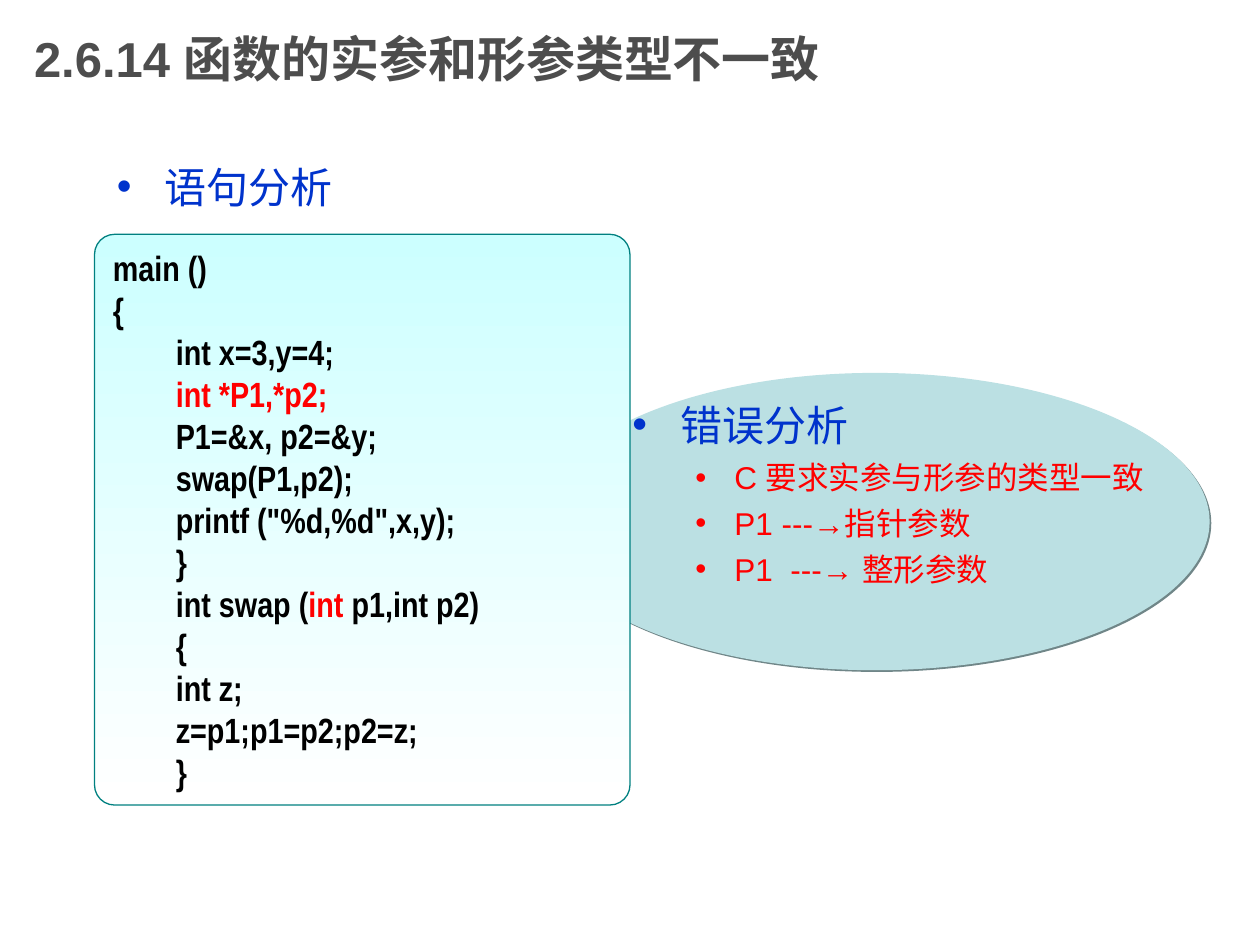
from dataclasses import dataclass

from lxml import etree
from pptx import Presentation
from pptx.dml.color import RGBColor
from pptx.enum.shapes import MSO_SHAPE
from pptx.enum.text import MSO_ANCHOR, MSO_AUTO_SIZE, PP_ALIGN
from pptx.oxml.ns import qn
from pptx.util import Inches, Pt

OVAL = MSO_SHAPE.OVAL
ROUNDED = MSO_SHAPE.ROUNDED_RECTANGLE
TOP, MIDDLE = MSO_ANCHOR.TOP, MSO_ANCHOR.MIDDLE
LEFT = PP_ALIGN.LEFT
NO_FIT = MSO_AUTO_SIZE.NONE

GREY = RGBColor(0x4D, 0x4D, 0x4D)
BLUE = RGBColor(0x00, 0x33, 0xCC)
RED = RGBColor(0xFF, 0x00, 0x00)
BLACK = RGBColor(0x00, 0x00, 0x00)
WHITE = RGBColor(0xFF, 0xFF, 0xFF)
PALE_CYAN = RGBColor(0xCC, 0xFF, 0xFF)
TEAL = RGBColor(0x00, 0x80, 0x80)
PALE_TEAL = RGBColor(0xBB, 0xE0, 0xE3)
SHADOW = RGBColor(0x70, 0x86, 0x88)


@dataclass(frozen=True)
class Area:
    left: float
    top: float
    width: float
    height: float

    def lengths(self) -> list:
        return [Inches(value) for value in (self.left, self.top, self.width, self.height)]


@dataclass(frozen=True)
class Span:
    text: str
    color: RGBColor = BLACK


@dataclass(frozen=True)
class Item:
    text: str
    before: float = 0
    level: int = 0


@dataclass(frozen=True)
class BulletStyle:
    margin: float
    hanging: float
    size: float
    color: RGBColor


BULLET_STYLES = (BulletStyle(0.38, 0.38, 24, BLUE), BulletStyle(0.81, 0.31, 18, RED))

ERROR_ITEMS = (
    Item("错误分析"),
    Item("C 要求实参与形参的类型一致", 5, 1),
    Item("P1 ---→指针参数", 4.5, 1),
    Item("P1  ---→ 整形参数", 4.5, 1),
)

CODE_LINES = (
    (Span("main ()"),),
    (Span("{"),),
    (Span("int x=3,y=4;"),),
    (Span("int *P1,*p2;", RED),),
    (Span("P1=&x, p2=&y;"),),
    (Span("swap(P1,p2);"),),
    (Span('printf ("%d,%d",x,y);'),),
    (Span("}"),),
    (Span("int swap ("), Span("int", RED), Span(" p1,int p2)")),
    (Span("{"),),
    (Span("int z;"),),
    (Span("z=p1;p1=p2;p2=z;"),),
    (Span("}"),),
)
FLUSH_LINES = 2


def write(para, text: str, *, size: float, color: RGBColor,
          font: str = "Arial", bold: bool = False) -> None:
    span = para.add_run()
    span.text = text
    span.font.name = font
    span.font.size = Pt(size)
    span.font.bold = bold
    span.font.color.rgb = color


def set_frame(box, anchor=TOP):
    frame = box.text_frame
    frame.word_wrap = True
    frame.auto_size = NO_FIT
    frame.vertical_anchor = anchor
    return frame


def next_paragraph(frame, index: int):
    para = frame.add_paragraph() if index else frame.paragraphs[0]
    para.alignment = LEFT
    return para


def indent(para, margin: float, first: float = 0) -> None:
    properties = para._p.get_or_add_pPr()
    properties.set("marL", str(Inches(margin)))
    properties.set("indent", str(Inches(first)))


def add_bullet(para, style: BulletStyle) -> None:
    properties = para._p.get_or_add_pPr()
    color = etree.SubElement(properties, qn("a:buClr"))
    etree.SubElement(color, qn("a:srgbClr"), val=str(style.color))
    etree.SubElement(properties, qn("a:buFont"), typeface="Arial")
    etree.SubElement(properties, qn("a:buChar"), char="•")


def add_list(page, area: Area, items: tuple[Item, ...]) -> None:
    frame = set_frame(page.shapes.add_textbox(*area.lengths()))
    for index, item in enumerate(items):
        style = BULLET_STYLES[item.level]
        para = next_paragraph(frame, index)
        para.level = item.level
        if item.before:
            para.space_before = Pt(item.before)
        indent(para, style.margin, -style.hanging)
        add_bullet(para, style)
        write(para, item.text, size=style.size, color=style.color)


def add_ellipse(page, area: Area) -> None:
    ellipse = page.shapes.add_shape(OVAL, *area.lengths())
    ellipse.fill.solid()
    ellipse.fill.fore_color.rgb = PALE_TEAL
    ellipse.line.fill.background()
    ellipse.shadow.inherit = False
    effects = ellipse._element.spPr.find(qn("a:effectLst"))
    shadow = etree.SubElement(effects, qn("a:outerShdw"), dist=str(Pt(1.4)),
                              dir=str(45 * 60000), algn="ctr", rotWithShape="0")
    etree.SubElement(shadow, qn("a:srgbClr"), val=str(SHADOW))


def add_code_panel(page, area: Area, lines: tuple[tuple[Span, ...], ...]) -> None:
    panel = page.shapes.add_shape(ROUNDED, *area.lengths())
    panel.adjustments[0] = 0.16 / area.width
    panel.shadow.inherit = False
    panel.fill.gradient()
    panel.fill.gradient_angle = 270
    for stop, color in zip(panel.fill.gradient_stops, (PALE_CYAN, WHITE)):
        stop.color.rgb = color
    panel.line.color.rgb = TEAL
    panel.line.width = Pt(0.75)
    frame = set_frame(panel)
    for index, spans in enumerate(lines):
        para = next_paragraph(frame, index)
        if index >= FLUSH_LINES:
            indent(para, 0.5)
        for span in spans:
            write(para, span.text, size=20, color=span.color, font="Arial Narrow", bold=True)


def set_title(page, area: Area, text: str) -> None:
    title = page.shapes.title
    title.left, title.top, title.width, title.height = area.lengths()
    para = next_paragraph(set_frame(title, MIDDLE), 0)
    write(para, text, size=28, color=GREY, bold=True)


def main() -> None:
    deck = Presentation()
    deck.slide_width, deck.slide_height = Inches(10), Inches(7.5)
    page = deck.slides.add_slide(deck.slide_layouts[5])
    set_title(page, Area(0.17, 0, 8.14, 0.92), "2.6.14 函数的实参和形参类型不一致")
    add_ellipse(page, Area(4.29, 2.96, 5.31, 2.36))
    add_list(page, Area(0.83, 1.23, 4.49, 5.83), (Item("语句分析"),))
    add_list(page, Area(4.92, 3.12, 4.69, 2), ERROR_ITEMS)
    add_code_panel(page, Area(0.75, 1.86, 4.25, 4.53), CODE_LINES)
    deck.save("out.pptx")


if __name__ == "__main__":
    main()
